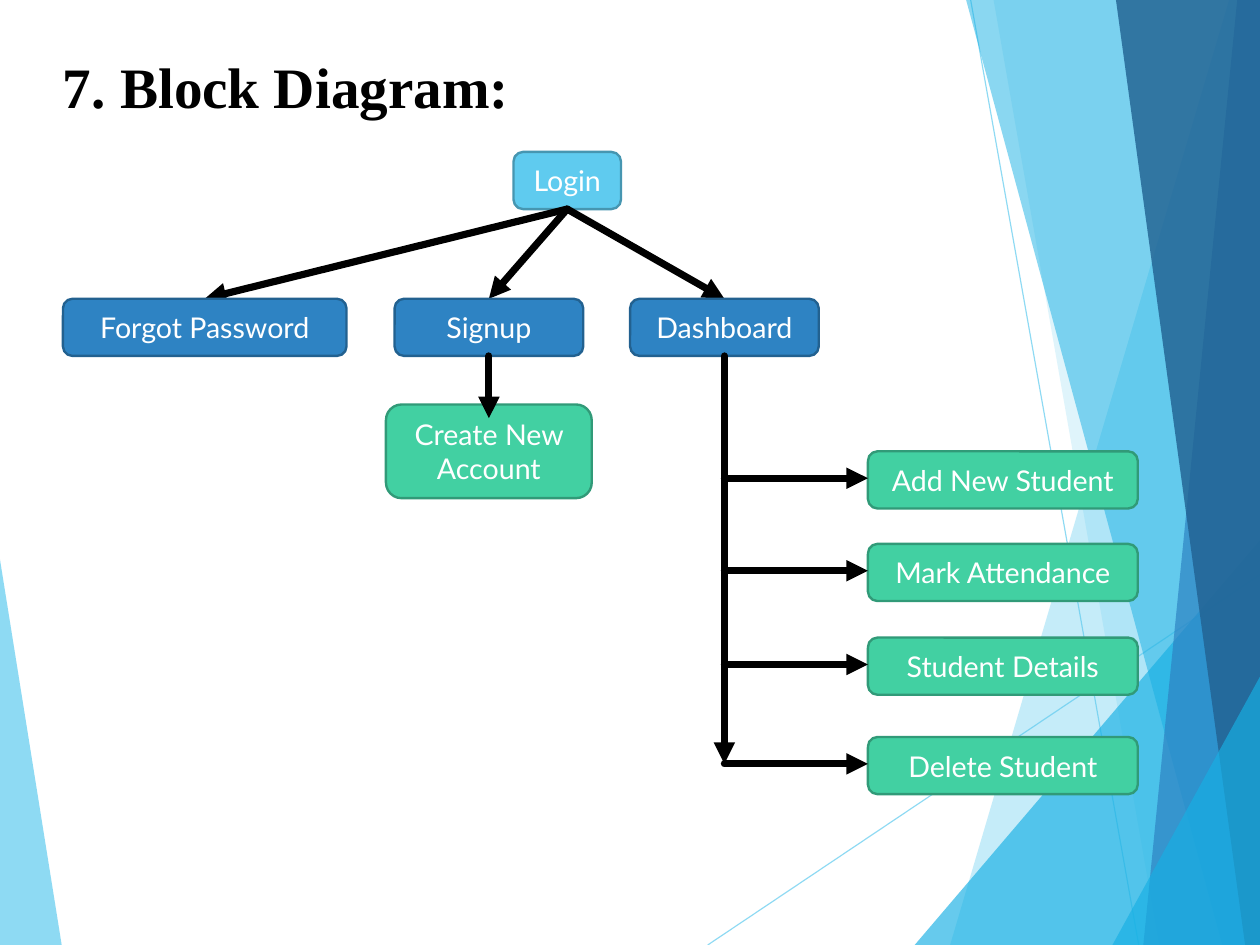
from dataclasses import dataclass

from lxml import etree
from pptx import Presentation
from pptx.dml.color import RGBColor
from pptx.enum.shapes import MSO_CONNECTOR, MSO_SHAPE
from pptx.enum.text import MSO_ANCHOR, MSO_AUTO_SIZE, PP_ALIGN
from pptx.oxml.ns import qn
from pptx.util import Emu, Inches, Pt

ROUNDED, STRAIGHT = MSO_SHAPE.ROUNDED_RECTANGLE, MSO_CONNECTOR.STRAIGHT
LEFT, CENTER, MIDDLE = PP_ALIGN.LEFT, PP_ALIGN.CENTER, MSO_ANCHOR.MIDDLE
NO_FIT = MSO_AUTO_SIZE.NONE

BLACK = RGBColor(0x00, 0x00, 0x00)
WHITE = RGBColor(0xFF, 0xFF, 0xFF)
SKY = RGBColor(0x5F, 0xCB, 0xEF)
SKY_EDGE = RGBColor(0x46, 0x96, 0xB1)
CYAN = RGBColor(0x17, 0xB0, 0xE4)
BLUE = RGBColor(0x2E, 0x83, 0xC3)
BLUE_EDGE = RGBColor(0x22, 0x61, 0x90)
NAVY = RGBColor(0x22, 0x62, 0x92)
GREEN = RGBColor(0x42, 0xD0, 0xA2)
GREEN_EDGE = RGBColor(0x31, 0x9A, 0x78)

ENTRY, SCREEN, ACTION = (SKY, SKY_EDGE), (BLUE, BLUE_EDGE), (GREEN, GREEN_EDGE)
TITLE_FONT = {"name": "Times New Roman", "size": Pt(36), "bold": True}
LABEL_FONT = {"name": "Lato", "size": Pt(18)}
PAGE_WIDTH, PAGE_HEIGHT = Emu(10080625), Emu(7559675)
NODE_HEIGHT = 5


@dataclass
class Box:
    """A region in EMU, divided into columns and rows."""
    left: int
    top: int
    width: int
    height: int
    cols: float = 100
    rows: float = 100

    def point(self, col, row):
        """Slide position of a grid point."""
        return (int(self.left + self.width * col / self.cols),
                int(self.top + self.height * row / self.rows))

    def area(self, col, row, cols, rows):
        """Left, top, width and height of a block of cells."""
        left, top = self.point(col, row)
        right, bottom = self.point(col + cols, row + rows)
        return left, top, right - left, bottom - top


def apply(target, settings):
    """Set every attribute named in a dict of format values."""
    for key, value in settings.items():
        setattr(target, key, value)


def set_alpha(fill, percent):
    """Make a solid colour partly transparent."""
    color = fill._xPr.find(qn("a:solidFill"))[0]
    etree.SubElement(color, qn("a:alpha"), val=str(percent * 1000))


def write(frame, text, font, color, align):
    """Put one formatted paragraph into a text frame."""
    frame.text = text
    apply(frame, {"vertical_anchor": MIDDLE, "word_wrap": True})
    paragraph = frame.paragraphs[0]
    paragraph.alignment = align
    apply(paragraph.runs[0].font, font)
    paragraph.runs[0].font.color.rgb = color
    return paragraph


def add_line(slide, start, end, color, width):
    """Draw a straight line without a shadow."""
    connector = slide.shapes.add_connector(STRAIGHT, *start, *end)
    connector.line.color.rgb = color
    connector.line.width = Pt(width)
    etree.SubElement(connector._element.spPr, qn("a:effectLst"))
    return connector.line


def add_arrow(slide, box, start, end):
    """Draw a thick black arrow between two grid points."""
    line = add_line(slide, box.point(*start), box.point(*end), BLACK, 4.5)
    outline = line._get_or_add_ln()
    outline.set("cap", "rnd")
    etree.SubElement(outline, qn("a:round"))
    etree.SubElement(outline, qn("a:tailEnd"), type="triangle")


def add_node(slide, box, text, colors, col, row, cols, rows=NODE_HEIGHT):
    """Draw a labelled rounded node; return its bottom centre."""
    node = slide.shapes.add_shape(ROUNDED, *box.area(col, row, cols, rows))
    node.shadow.inherit = False
    node.fill.solid()
    node.fill.fore_color.rgb, node.line.color.rgb = colors
    node.line.width = Pt(1.5)
    write(node.text_frame, text, LABEL_FONT, WHITE, CENTER)
    return col + cols / 2, row + rows


def add_facets(slide, box):
    """Draw the translucent facets and thin lines at the slide's edges."""
    def band(top, bottom):
        return [(top, 0), (bottom, 100), (100, 100), (100, 0)]

    def corner(col, row):
        return [(col, 100), (100, row), (100, 100)]

    def facet(points, color, opacity):
        first, *rest = [box.point(*point) for point in points]
        builder = slide.shapes.build_freeform(*first)
        builder.add_line_segments(rest, close=True)
        shape = builder.convert_to_shape()
        shape.shadow.inherit = False
        shape.fill.solid()
        shape.fill.fore_color.rgb = color
        set_alpha(shape.fill, opacity)
        shape.line.fill.background()

    facet([(0, 59.2), (4.9, 100), (0, 100)], SKY, 70)
    for start, end in [((56.17, 100), (100, 60.82)), ((77.04, 0), (90.38, 100))]:
        line = add_line(slide, box.point(*start), box.point(*end), SKY, 0.75)
        set_alpha(line.fill, 70)
    for points, color, opacity in [
        (band(97.55, 75.41), SKY, 36),
        (band(78.86, 92.01), SKY, 20),
        (corner(72.6, 57.19), CYAN, 66),
        (band(76.68, 97), CYAN, 50),
        (band(98.19, 90.74), BLUE, 70),
        (band(88.57, 98.82), NAVY, 82),
        (corner(88.29, 71.6), CYAN, 66),
    ]:
        facet(points, color, opacity)


def add_title(slide, box):
    """Place and format the title placeholder."""
    title = slide.shapes.title
    apply(title, {"left": box.left, "top": box.top,
                  "width": box.width, "height": box.height})
    frame = title.text_frame
    apply(frame, {"margin_left": 0, "margin_right": 0, "margin_bottom": 0,
                  "margin_top": Inches(0.03), "auto_size": NO_FIT})
    heading = write(frame, "7. Block Diagram:", TITLE_FONT, BLACK, LEFT)
    heading.line_spacing = 0.93


def add_block_diagram(slide, box):
    """Draw the tree that leads from login to the student actions."""
    login = add_node(slide, box, "Login", ENTRY, 39.4, 0, 9.4)
    screens, screen_row = {}, 12.85
    for name, col, cols in [("Dashboard", 49.6, 16.5), ("Signup", 29, 16.5),
                            ("Forgot Password", 0, 24.8)]:
        add_arrow(slide, box, login, (col + cols / 2, screen_row))
        screens[name] = add_node(slide, box, name, SCREEN, col, screen_row, cols)

    signup, account_row = screens["Signup"], 22.1
    add_node(slide, box, "Create New Account", ACTION,
             signup[0] - 9, account_row, 18, 8.2)
    add_arrow(slide, box, signup, (signup[0], account_row + 1.2))

    dashboard = screens["Dashboard"]
    trunk, action_col = dashboard[0], 70.4
    for name, row in [("Add New Student", 26.2), ("Mark Attendance", 34.3),
                      ("Student Details", 42.5), ("Delete Student", 51.2)]:
        add_node(slide, box, name, ACTION, action_col, row, 23.6)
        middle = row + NODE_HEIGHT / 2 - 0.15
        add_arrow(slide, box, (trunk, middle), (action_col, middle))
    add_arrow(slide, box, dashboard, (trunk, middle))


def main():
    """Build and save the slide."""
    deck = Presentation()
    deck.slide_width, deck.slide_height = PAGE_WIDTH, PAGE_HEIGHT
    slide = deck.slides.add_slide(deck.slide_layouts[5])
    page = Box(0, 0, PAGE_WIDTH, PAGE_HEIGHT)
    add_facets(slide, page)
    add_title(slide, Box(*page.area(5, 2.42, 90, 13.66)))
    add_block_diagram(slide, Box(*page.area(5, 16.08, 85.3, 67.96), 94, 56.2))
    deck.save("out.pptx")


main()
